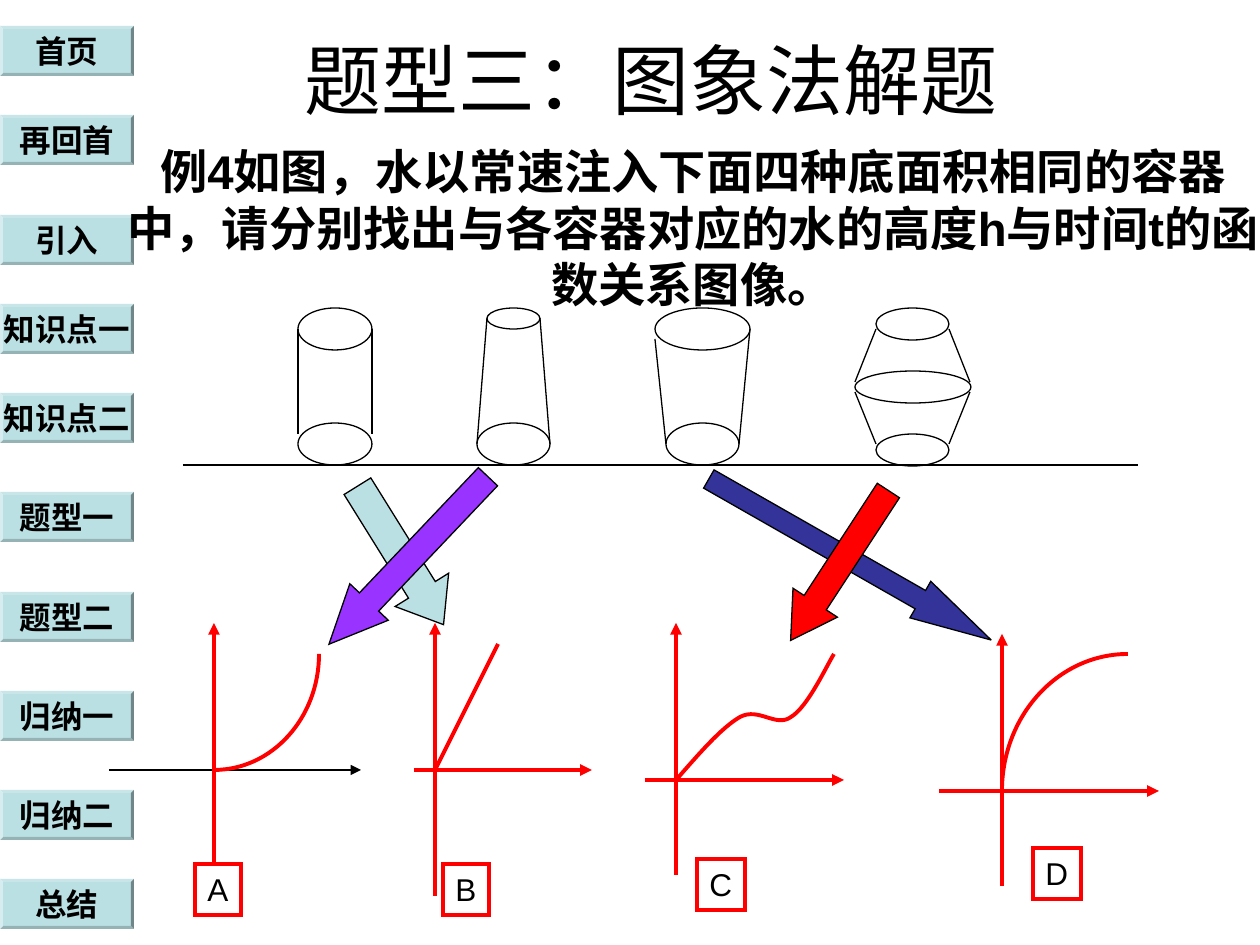
from lxml import etree
from pptx import Presentation
from pptx import util as u
from pptx.dml.color import RGBColor
from pptx.enum import shapes, text
from pptx.oxml.ns import qn

PX = 914400 / 126
FONT = "Arial"
BLACK, RED, TEAL = "000000", "FF0000", "BBE0E3"
THIN, THICK = 0.75, 2.25
KIND = shapes.MSO_SHAPE

BUTTONS = [
    ("首页", 26), ("再回首", 115), ("引入", 215), ("知识点一", 304), ("知识点二", 393),
    ("题型一", 492), ("题型二", 592), ("归纳一", 691), ("归纳二", 790), ("总结", 879),
]
QUESTION = (
    "例4如图，水以常速注入下面四种底面积相同的容器中，"
    "请分别找出与各容器对应的水的高度h与时间t的函数关系图像。"
)
CONTAINER_RINGS = [
    (298, 308, 74, 42), (298, 423, 74, 42),
    (487, 308, 53, 21), (477, 423, 73, 42),
    (655, 308, 95, 42), (666, 423, 73, 42),
    (876, 308, 73, 32), (855, 371, 116, 32), (876, 434, 73, 32),
]
CONTAINER_SIDES = [
    (298, 329, 298, 434), (372, 329, 372, 434),
    (487, 318, 477, 444), (540, 318, 550, 444),
    (655, 339, 666, 444), (750, 329, 739, 444),
    (876, 329, 855, 382), (949, 329, 970, 382),
    (855, 392, 876, 444), (970, 392, 949, 444),
]
GROUND = (183, 465, 1138, 465)
AXES = [
    ((109, 770, 361, 770), BLACK, THIN),
    ((214, 864, 214, 623), RED, THICK),
    ((414, 770, 592, 770), RED, THICK),
    ((435, 896, 435, 623), RED, THICK),
    ((645, 780, 844, 780), RED, THICK),
    ((676, 875, 676, 623), RED, THICK),
    ((939, 791, 1159, 791), RED, THICK),
    ((1002, 886, 1002, 634), RED, THICK),
]
STRAIGHT_GRAPH = (435, 770, 498, 644)
CURVED_GRAPHS = [
    [(214, 770), (272, 770), (319, 718), (319, 654)],
    [(676, 780), (698, 755), (721, 728), (740, 717), (759, 707),
     (776, 728), (791, 717), (808, 707), (827, 665), (834, 654)],
    [(1128, 654), (1058, 654), (1002, 716), (1002, 791)],
]
LABELS = [
    ("A", (195, 864, 46, 51)), ("B", (443, 864, 46, 51)),
    ("C", (697, 859, 48, 51)), ("D", (1033, 848, 48, 51)),
]
MATCH_ARROWS = [
    (KIND.RIGHT_ARROW, (319, 524, 163, 63), 58.1, 0.65, TEAL),
    (KIND.DOWN_ARROW, (382, 445, 53, 231), 43.5, 1.1, "9933FF"),
    (KIND.DOWN_ARROW, (829, 397, 42, 325), 299.7, 1.94, "333399"),
    (KIND.DOWN_ARROW, (813, 476, 53, 179), 33.1, 0.85, RED),
]


def emu(*lengths):
    return [u.Emu(round(length * PX)) for length in lengths]


def rgb(value):
    return RGBColor.from_string(value)


def write(box, words, size, bold=False, wrap=True,
          align=text.PP_ALIGN.CENTER, anchor=text.MSO_ANCHOR.MIDDLE):
    frame = box.text_frame
    frame.text = words
    frame.word_wrap = wrap
    frame.vertical_anchor = anchor
    para = frame.paragraphs[0]
    para.alignment = align
    para._p.get_or_add_pPr().set("hangingPunct", "0")
    for span in para.runs:
        span.font.size = u.Pt(size)
        span.font.bold = bold
        span.font.name = FONT
        span.font.color.rgb = rgb(BLACK)
        etree.SubElement(span.font._element, qn("a:ea"), typeface=FONT)


def add_text(page, bounds, words, size, **style):
    box = page.shapes.add_textbox(*emu(*bounds))
    write(box, words, size, **style)


def paint(shape, fill=None, line=None, width=THIN):
    shape.shadow.inherit = False
    if fill:
        shape.fill.solid()
        shape.fill.fore_color.rgb = rgb(fill)
    else:
        shape.fill.background()
    if line:
        shape.line.color.rgb = rgb(line)
        shape.line.width = u.Pt(width)
        etree.SubElement(shape.line._get_or_add_ln(), qn("a:miter"), lim="800000")
    else:
        shape.line.fill.background()


def add_shape(page, kind, bounds, **style):
    shape = page.shapes.add_shape(kind, *emu(*bounds))
    paint(shape, **style)
    return shape


def add_button(page, words, top):
    button = add_shape(page, KIND.BEVEL, (0, top, 134, 50), fill=TEAL)
    button.adjustments[0] = 0.06
    write(button, words, 18, bold=True, wrap=False)


def add_line(page, ends, color=BLACK, width=THIN, arrow=False):
    line = page.shapes.add_connector(shapes.MSO_CONNECTOR.STRAIGHT, *emu(*ends))
    line.line.color.rgb = rgb(color)
    line.line.width = u.Pt(width)
    if arrow:
        etree.SubElement(line.line._get_or_add_ln(), qn("a:tailEnd"), type="triangle")
    etree.SubElement(line._element.spPr, qn("a:effectLst"))


def add_curve(page, points):
    start, *controls = points
    builder = page.shapes.build_freeform(*start, scale=PX)
    builder.add_line_segments(controls, close=False)
    curve = builder.convert_to_shape()
    segments = list(curve._element.iter(qn("a:lnTo")))
    for first in range(0, len(segments), 3):
        outline = segments[first].getparent()
        bezier = etree.SubElement(outline, qn("a:cubicBezTo"))
        for segment in segments[first:first + 3]:
            bezier.append(segment[0])
            outline.remove(segment)
    paint(curve, line=RED, width=THICK)


def add_label(page, letter, bounds):
    label = add_shape(page, KIND.RECTANGLE, bounds, line=RED, width=THICK)
    write(label, letter, 18, wrap=False, align=text.PP_ALIGN.LEFT,
          anchor=text.MSO_ANCHOR.TOP)
    label.text_frame.auto_size = text.MSO_AUTO_SIZE.SHAPE_TO_FIT_TEXT


def add_match_arrow(page, kind, bounds, turn, head, fill):
    arrow = add_shape(page, kind, bounds, fill=fill, line=BLACK)
    arrow.adjustments[0] = 0.5
    arrow.adjustments[1] = head
    arrow.rotation = turn


def main():
    deck = Presentation()
    deck.slide_width, deck.slide_height = emu(1260, 945)
    page = deck.slides.add_slide(deck.slide_layouts[6])
    for words, top in BUTTONS:
        add_button(page, words, top)
    add_text(page, (84, 0, 1134, 158), "题型三：图象法解题", 44)
    add_text(page, (110, 136, 1166, 158), QUESTION, 27, bold=True,
             anchor=text.MSO_ANCHOR.TOP)
    for bounds in CONTAINER_RINGS:
        add_shape(page, KIND.OVAL, bounds, line=BLACK)
    for ends in CONTAINER_SIDES + [GROUND]:
        add_line(page, ends)
    for ends, color, width in AXES:
        add_line(page, ends, color, width, arrow=True)
    add_line(page, STRAIGHT_GRAPH, RED, THICK)
    for points in CURVED_GRAPHS:
        add_curve(page, points)
    for letter, bounds in LABELS:
        add_label(page, letter, bounds)
    for arrow in MATCH_ARROWS:
        add_match_arrow(page, *arrow)
    deck.save("out.pptx")


if __name__ == "__main__":
    main()
